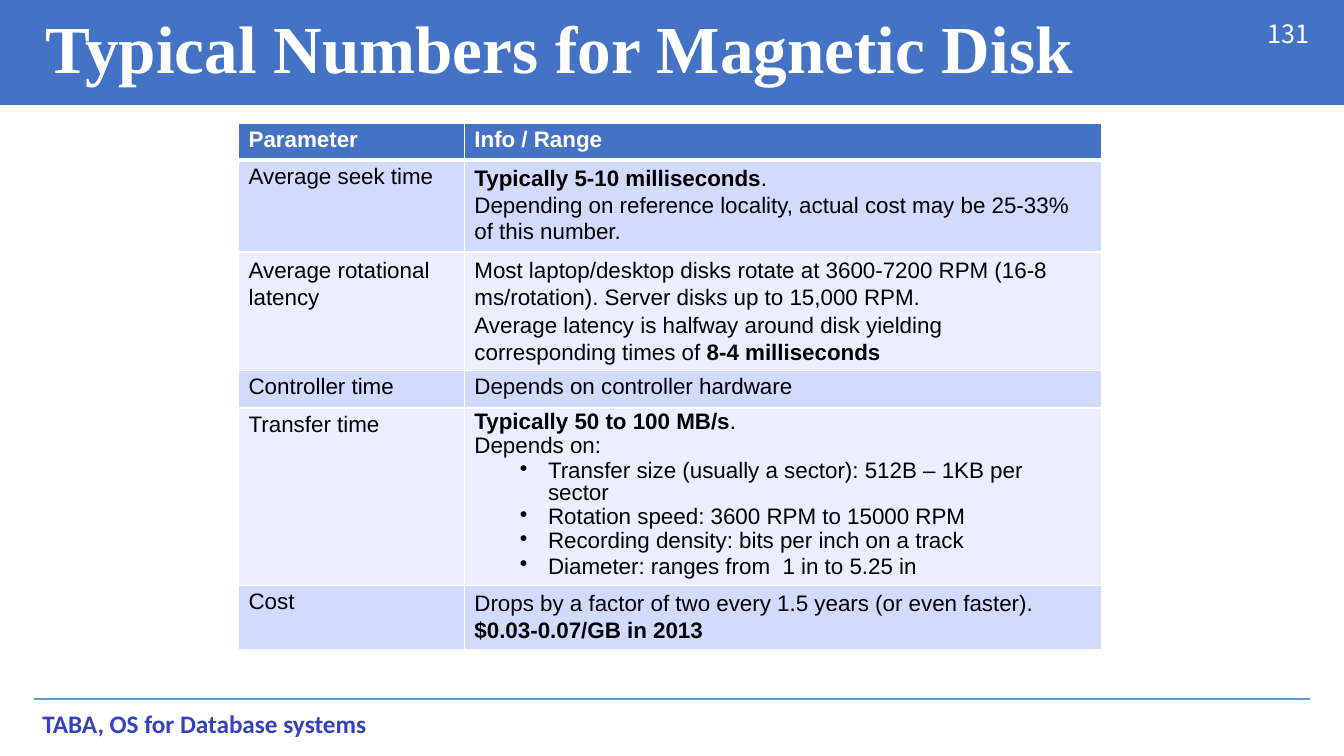
from dataclasses import dataclass
from typing import Optional

from lxml import etree
from pptx import Presentation
from pptx import util as u
from pptx.dml.color import RGBColor
from pptx.enum import shapes, text
from pptx.oxml import ns

BLUE = RGBColor(0x44, 0x72, 0xC4)
SKY = RGBColor(0x5B, 0x9B, 0xD5)
INDIGO = RGBColor(0x35, 0x42, 0xBC)
DARK_BAND = RGBColor(0xD2, 0xDB, 0xFE)
LIGHT_BAND = RGBColor(0xEA, 0xEE, 0xFF)
WHITE = RGBColor(0xFF, 0xFF, 0xFF)
BLACK = RGBColor(0, 0, 0)

WIDTH, HEIGHT = u.Inches(13.33), u.Inches(7.5)
TEXT_INDENT = u.Inches(0.1)
BULLET_INDENT, BULLET_HANG = u.Inches(0.83), u.Inches(-0.28)


@dataclass
class Span:
    text: str
    bold: bool = False


@dataclass
class Para:
    spans: list[Span]
    before: float = 0
    line: Optional[float] = None
    bullet: bool = False


@dataclass
class Cell:
    paras: list[Para]
    top: float = 0.04
    right: float = 0


@dataclass
class Row:
    height: float
    fill: RGBColor
    cells: tuple[Cell, Cell]
    color: RGBColor = BLACK


@dataclass
class Label:
    text: str
    left: float
    top: float
    width: float
    height: float
    size: float
    font: str
    color: RGBColor
    bold: bool = False


def across(percent: float) -> int:
    return round(WIDTH * percent / 100)


def down(percent: float) -> int:
    return round(HEIGHT * percent / 100)


def plain(words: str, **layout) -> Para:
    return Para([Span(words)], **layout)


def single(words: str, bold: bool = False, **layout) -> Cell:
    return Cell([Para([Span(words, bold)], **layout)])


def add_span(para, words: str, size: float, font: str, color: RGBColor, bold: bool) -> None:
    span = para.add_run()
    span.text = words
    span.font.size = u.Pt(size)
    span.font.name = font
    span.font.color.rgb = color
    span.font.bold = bold


def fill_label(box, label: Label) -> None:
    box.left, box.top = across(label.left), down(label.top)
    box.width, box.height = across(label.width), down(label.height)
    frame = box.text_frame
    frame.word_wrap = True
    frame.auto_size = text.MSO_AUTO_SIZE.NONE
    frame.vertical_anchor = text.MSO_ANCHOR.TOP
    frame.margin_left = frame.margin_right = frame.margin_bottom = 0
    frame.margin_top = u.Inches(0.01)
    para = frame.paragraphs[0]
    para.alignment = text.PP_ALIGN.LEFT
    add_span(para, label.text, label.size, label.font, label.color, label.bold)


def set_borders(cell, weights: dict[str, float]) -> None:
    props = cell._tc.get_or_add_tcPr()
    for index, (side, weight) in enumerate(weights.items()):
        line = etree.Element(ns.qn(f"a:ln{side}"), w=str(u.Pt(weight)))
        fill = etree.SubElement(line, ns.qn("a:solidFill"))
        etree.SubElement(fill, ns.qn("a:srgbClr"), val=str(WHITE))
        props.insert(index, line)


def fill_cell(cell, content: Cell, row: Row) -> None:
    cell.fill.solid()
    cell.fill.fore_color.rgb = row.fill
    cell.margin_left = cell.margin_bottom = 0
    cell.margin_top, cell.margin_right = u.Inches(content.top), u.Inches(content.right)
    frame = cell.text_frame
    for index, item in enumerate(content.paras):
        para = frame.add_paragraph() if index else frame.paragraphs[0]
        props = para._p.get_or_add_pPr()
        props.set("marL", str(BULLET_INDENT if item.bullet else TEXT_INDENT))
        props.set("indent", str(BULLET_HANG if item.bullet else 0))
        if item.bullet:
            etree.SubElement(props, ns.qn("a:buChar"), char="•")
        para.space_before = u.Pt(item.before)
        if item.line:
            para.line_spacing = u.Pt(item.line)
        for span in item.spans:
            add_span(para, span.text, 16, "Arial", row.color, span.bold)


TITLE = Label("Typical Numbers for Magnetic Disk", 3.38, 0.67, 91.37, 11.07,
              48, "Times New Roman", WHITE, True)
LABELS = [
    Label("131", 94.3, 2.27, 3.5, 4.4, 18, "Noto Sans CJK KR", WHITE),
    Label("TABA, OS for Database systems", 3.15, 93.6, 24.31, 4.4,
          18, "Calibri", INDIGO, True),
]
COLUMNS = (16.8, 47.41)
ROWS = [
    Row(4.93, BLUE, (single("Parameter", True, before=2.9),
                     single("Info / Range", True, before=2.9)), WHITE),
    Row(12.13, DARK_BAND, (single("Average seek time", before=2.6), Cell([
        Para([Span("Typically 5-10 milliseconds", True), Span(".")], 2.6, 19.1),
        plain("Depending on reference locality, actual cost may be 25-33%", line=19.1),
        plain("of this number.", before=0.8)]))),
    Row(15.73, LIGHT_BAND, (
        Cell([plain("Average rotational latency", before=3.4, line=19.1)], 0.05),
        Cell([
            plain("Most laptop/desktop disks rotate at 3600-7200 RPM (16-8 "
                  "ms/rotation). Server disks up to 15,000 RPM.", before=3.4, line=19.1),
            Para([Span("Average latency is halfway around disk yielding "
                       "corresponding times of "),
                  Span("8-4 milliseconds", True)], 0.8, 19.1)], 0.05, 0.3))),
    Row(4.93, DARK_BAND, (single("Controller time", before=2.5),
                          single("Depends on controller hardware", before=2.5))),
    Row(23.47, LIGHT_BAND, (single("Transfer time", before=2.8), Cell([
        Para([Span("Typically 50 to 100 MB/s", True), Span(".")], 1.2, 17.3),
        plain("Depends on:", line=17.3),
        plain("Transfer size (usually a sector): 512B – 1KB per sector",
              before=2.4, line=15.4, bullet=True),
        plain("Rotation speed: 3600 RPM to 15000 RPM", line=17.4, bullet=True),
        plain("Recording density: bits per inch on a track", line=17.2, bullet=True),
        plain("Diameter: ranges from  1 in to 5.25 in", line=18.2, bullet=True),
    ], 0.02, 0.3))),
    Row(8.53, DARK_BAND, (single("Cost", before=2.6), Cell([
        plain("Drops by a factor of two every 1.5 years (or even faster).",
              before=2.6, line=19.1),
        Para([Span("$0.03-0.07/GB in 2013", True)], line=19.1)]))),
]


def add_frame(page) -> None:
    rule = page.shapes.add_connector(shapes.MSO_CONNECTOR.STRAIGHT, across(2.55),
                                     down(92.5), across(97.5), down(92.5))
    rule.line.color.rgb = SKY
    rule.line.width = u.Pt(1.5)
    etree.SubElement(rule._element.spPr, ns.qn("a:effectLst"))
    band = page.shapes.add_shape(shapes.MSO_SHAPE.RECTANGLE, 0, 0, WIDTH, down(13.87))
    band.shadow.inherit = False
    band.fill.solid()
    band.fill.fore_color.rgb = BLUE
    band.line.fill.background()


def add_disk_table(page) -> None:
    table = page.shapes.add_table(len(ROWS), len(COLUMNS), across(17.75), down(16.27),
                                  across(sum(COLUMNS)),
                                  down(sum(row.height for row in ROWS))).table
    table.horz_banding = False
    for column, width in zip(table.columns, COLUMNS):
        column.width = across(width)
    for r, row in enumerate(ROWS):
        table.rows[r].height = down(row.height)
        for c, content in enumerate(row.cells):
            cell = table.cell(r, c)
            fill_cell(cell, content, row)
            set_borders(cell, {"L": 1, "R": 1, "T": 3 if r == 1 else 1,
                               "B": 3 if r == 0 else 1})


def main() -> None:
    deck = Presentation()
    deck.slide_width, deck.slide_height = WIDTH, HEIGHT
    page = deck.slides.add_slide(deck.slide_layouts[5])

    # Header band and footer rule
    add_frame(page)

    # Page number, footer and title, with the title above the band
    for label in LABELS:
        fill_label(page.shapes.add_textbox(0, 0, 0, 0), label)
    title = page.shapes.title
    title.element.getparent().append(title.element)
    fill_label(title, TITLE)

    # Disk parameters
    add_disk_table(page)
    deck.save("out.pptx")


if __name__ == "__main__":
    main()
